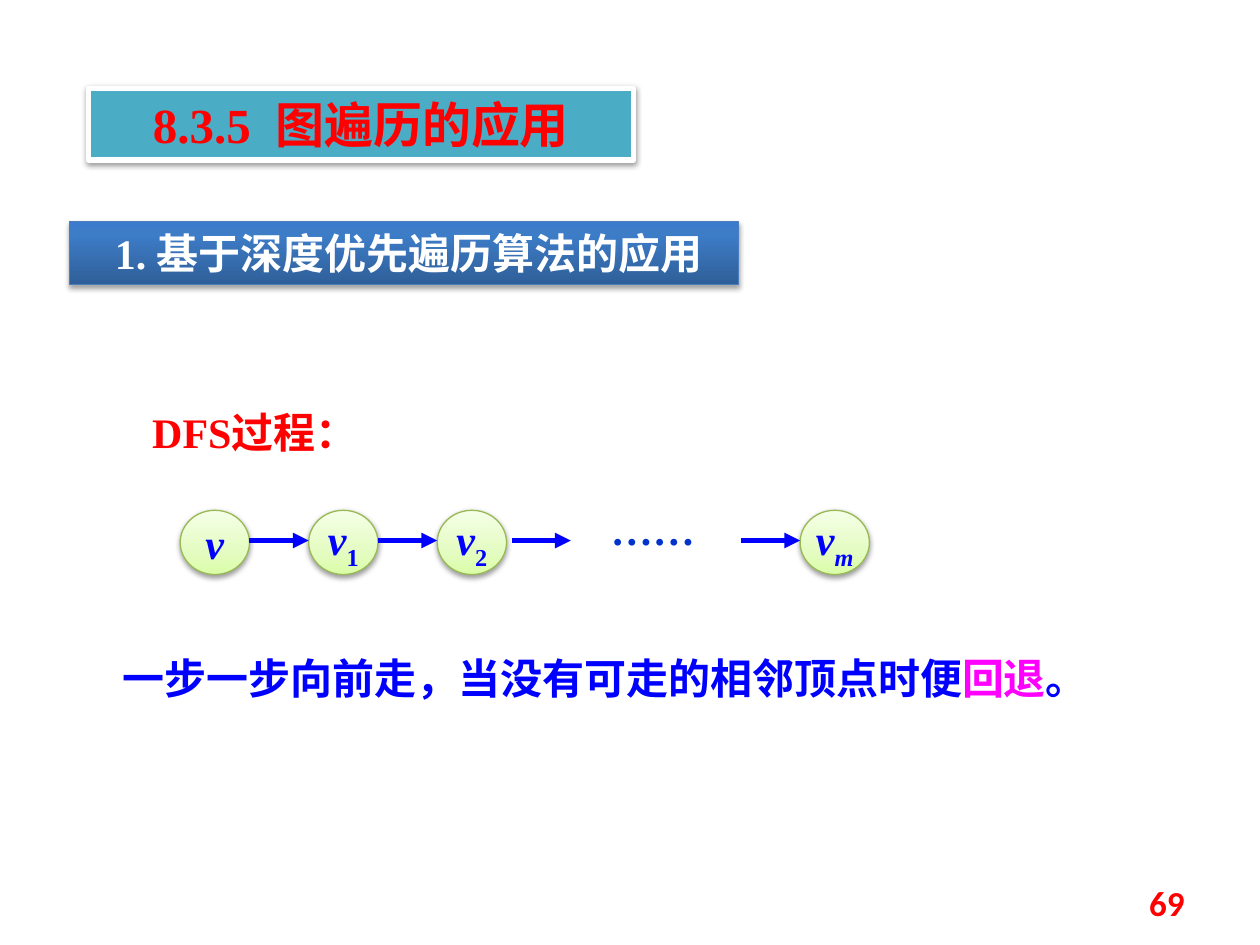
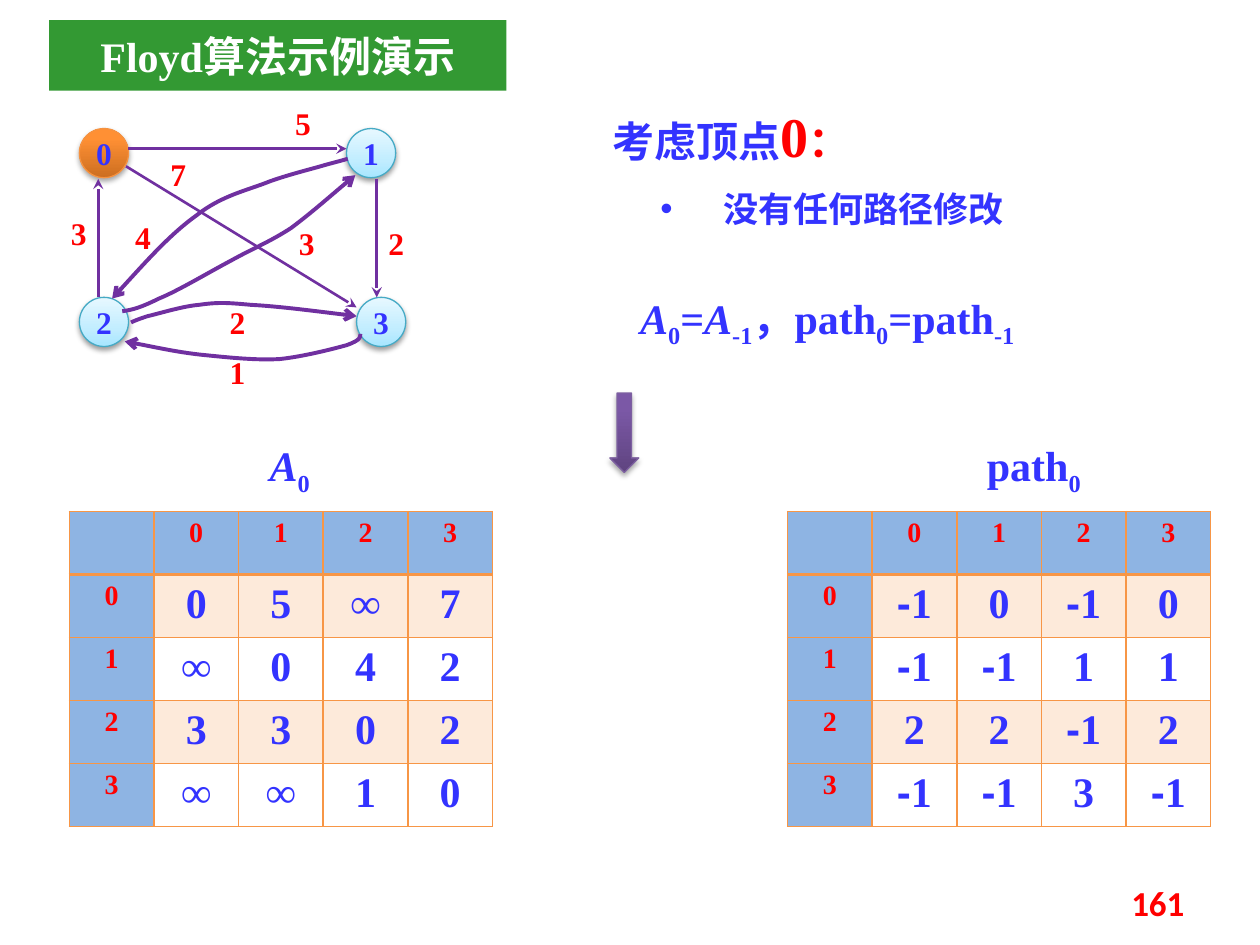
"""Build two slides: a depth-first search walk and one step of the Floyd algorithm."""
from lxml import etree
from pptx import Presentation, util as u
from pptx.dml.color import RGBColor
from pptx.enum import shapes, text
from pptx.oxml import ns

COLORS = {
    "red": "FF0000", "blue": "0000FF", "ink": "3333FF", "dots": "0033CC", "magenta": "FF00FF",
    "white": "FFFFFF", "teal": "4BACC6", "green": "339933", "purple": "7030A0",
    "orange": "F79646", "header": "8EB4E3", "band": "FDEADA",
}
LIGHT_SHADOW = {"alpha": 38, "blur": 3.1, "distance": 1.6}
STRONG_SHADOW = {"alpha": 35, "blur": 3.1, "distance": 1.8}
GRADIENTS = {
    "lime": ([(0, "DAFDA7"), (35, "E4FCC2"), (100, "F5FFE7")], "98B955", LIGHT_SHADOW),
    "sky": ([(0, "A7E6FF"), (35, "C1EDFF"), (100, "E7F8FF")], "46AAC5", LIGHT_SHADOW),
    "amber": ([(0, "CC6E20"), (80, "FF9034"), (100, "FF9136")], "F69240", STRONG_SHADOW),
    "navy": ([(0, "2F5F99"), (80, "3D7CC7"), (100, "3A7CCB")], "4B7EBC", STRONG_SHADOW),
    "violet": ([(0, "5F4480"), (80, "7B58A6"), (100, "7C57A8")], "7D60A0", STRONG_SHADOW),
}
SUB = {"sub": True}
ITALIC = {"italic": True}
SERIF = "Times New Roman"

WALK_NODES = [
    (1.43, [("v", ITALIC)]),
    (2.45, [("v", ITALIC), ("1", SUB)]),
    (3.47, [("v", ITALIC), ("2", SUB)]),
    (6.35, [("v", ITALIC), ("m", ITALIC | SUB)]),
]
WALK_ARROWS = [1.98, 3.0, 4.06, 5.88]
WALK_RULE = [("一步一步向前走，当没有可走的相邻顶点时便", {}),
             ("回退", {"color": "magenta"}), ("。", {})]

GRAPH_NODES = [("0", 0.63, 1.02, "amber"), ("1", 2.75, 1.02, "sky"),
               ("2", 0.63, 2.36, "sky"), ("3", 2.83, 2.36, "sky")]
GRAPH_EDGES = [((1.02, 1.18), (2.75, 1.18)), ((0.78, 2.36), (0.78, 1.42)),
               ((1, 1.32), (2.83, 2.44)), ((2.99, 1.42), (2.99, 2.36))]
GRAPH_CURVES = [
    [(2.86, 2.65), (2.86, 2.68), (2.86, 2.7), (2.75, 2.74), (2.64, 2.77), (2.41, 2.83),
     (2.22, 2.85), (2.04, 2.86), (1.84, 2.84), (1.64, 2.82), (1.43, 2.8), (1.21, 2.75),
     (0.99, 2.71)],
    [(1.04, 2.56), (1.06, 2.55), (1.08, 2.54), (1.17, 2.51), (1.26, 2.49), (1.45, 2.43),
     (1.58, 2.42), (1.72, 2.4), (1.78, 2.4), (1.99, 2.42), (2.19, 2.43), (2.51, 2.47),
     (2.83, 2.51)],
    [(2.76, 1.26), (2.73, 1.27), (2.69, 1.28), (2.58, 1.31), (2.48, 1.34), (2.31, 1.38),
     (2.14, 1.44), (1.97, 1.51), (1.76, 1.55), (1.56, 1.71), (1.35, 1.86), (1.12, 2.12),
     (0.89, 2.37)],
    [(0.97, 2.47), (1.05, 2.46), (1.12, 2.44), (1.26, 2.37), (1.41, 2.31), (1.66, 2.16),
     (1.83, 2.07), (2.01, 1.97), (2.14, 1.92), (2.31, 1.81), (2.47, 1.69), (2.64, 1.54),
     (2.82, 1.39)],
]
EDGE_WEIGHTS = [("5", 2.17, 0.78), ("3", 0.39, 1.65), ("2", 2.91, 1.73), ("7", 1.18, 1.18),
                ("3", 2.2, 1.73), ("1", 1.65, 2.75), ("2", 1.65, 2.36), ("4", 0.9, 1.68)]
MATRICES = [
    (0.55, (1.95, 3.44, 0.7, 0.5), [("A", ITALIC), ("0", SUB)],
     ["0 5 ∞ 7", "∞ 0 4 2", "3 3 0 2", "∞ ∞ 1 0"]),
    (6.25, (7.66, 3.44, 1.09, 0.5), [("path", {}), ("0", SUB)],
     ["-1 0 -1 0", "-1 -1 1 1", "2 2 -1 2", "-1 -1 3 -1"]),
]
VERTEX_HEADING = [("考虑顶点", {}), ("0", {"size": 32, "color": "red"}), ("：", {"color": "red"})]
EQUATION = [("A", ITALIC), ("0", SUB), ("=", {}), ("A", ITALIC), ("-1", SUB),
            ("，path", {}), ("0", SUB), ("=path", {}), ("-1", SUB)]


def rgb(name):
    return RGBColor.from_string(COLORS.get(name, name))


def add_xml(parent, tag, **attributes):
    values = {key: str(value) for key, value in attributes.items()}
    return etree.SubElement(parent, ns.qn(tag), values)


def write(frame, runs, size, color, align="CENTER", face=SERIF):
    paragraph = frame.paragraphs[0]
    paragraph.alignment = getattr(text.PP_ALIGN, align)
    for words, style in [(runs, {})] if isinstance(runs, str) else runs:
        run = paragraph.add_run()
        run.text = words
        run.font.name = style.get("face", face)
        run.font.size = u.Pt(style.get("size", size))
        run.font.bold = True
        run.font.italic = style.get("italic", False)
        run.font.color.rgb = rgb(style.get("color", color))
        if style.get("sub"):
            run.font._element.set("baseline", "-25000")
    return paragraph


def add_text(slide, box, runs, size, color, align="CENTER", face=SERIF, margin=None):
    frame = slide.shapes.add_textbox(*map(u.Inches, box)).text_frame
    frame.word_wrap = True
    frame.auto_size = text.MSO_AUTO_SIZE.SHAPE_TO_FIT_TEXT
    if margin is not None:
        frame.margin_left = frame.margin_right = u.Inches(margin)
        frame.margin_top = frame.margin_bottom = u.Inches(margin)
    return write(frame, runs, size, color, align, face)


def add_shadow(shape, alpha, blur, distance):
    shape.shadow.inherit = False
    effects = shape._element.spPr.find(ns.qn("a:effectLst"))
    shadow = add_xml(effects, "a:outerShdw", blurRad=u.Pt(blur), dist=u.Pt(distance),
                     dir=5400000, rotWithShape=0)
    add_xml(add_xml(shadow, "a:srgbClr", val="000000"), "a:alpha", val=alpha * 1000)


def add_block(slide, kind, box, fill, line=None, weight=0.75):
    shape = slide.shapes.add_shape(getattr(shapes.MSO_SHAPE, kind), *map(u.Inches, box))
    shape.shadow.inherit = False
    if fill in GRADIENTS:
        stops, line, shadow = GRADIENTS[fill]
        shape.fill.gradient()
        shape.fill.gradient_angle = 90
        stop_list = shape._element.spPr.find(".//" + ns.qn("a:gsLst"))
        stop_list.clear()
        for position, color in stops:
            stop = add_xml(stop_list, "a:gs", pos=position * 1000)
            add_xml(stop, "a:srgbClr", val=color)
        add_shadow(shape, **shadow)
    else:
        shape.fill.solid()
        shape.fill.fore_color.rgb = rgb(fill)
    if line:
        shape.line.color.rgb = rgb(line)
        shape.line.width = u.Pt(weight)
    else:
        shape.line.fill.background()
    return shape


def add_banner(slide, box, words, size, color, fill, line=None, weight=0.75):
    shape = add_block(slide, "RECTANGLE", box, fill, line, weight)
    shape.text_frame.word_wrap = True
    shape.text_frame.vertical_anchor = text.MSO_ANCHOR.TOP
    write(shape.text_frame, words, size, color)
    return shape


def add_node(slide, box, runs, size, color, fill):
    frame = add_block(slide, "OVAL", box, fill).text_frame
    frame.word_wrap = False
    frame.vertical_anchor = text.MSO_ANCHOR.MIDDLE
    write(frame, runs, size, color)


def style_arrow(shape, color, weight, head):
    shape.line.color.rgb = rgb(color)
    shape.line.width = u.Pt(weight)
    properties = shape._element.spPr
    add_xml(properties.find(ns.qn("a:ln")), "a:tailEnd", type=head)
    if properties.find(ns.qn("a:effectLst")) is None:
        add_xml(properties, "a:effectLst")


def add_arrow(slide, start, end, color, weight, head):
    points = map(u.Inches, (*start, *end))
    arrow = slide.shapes.add_connector(shapes.MSO_CONNECTOR.STRAIGHT, *points)
    style_arrow(arrow, color, weight, head)


def add_curve(slide, points):
    start, *controls = [(u.Inches(x), u.Inches(y)) for x, y in points]
    builder = slide.shapes.build_freeform(*start)
    builder.add_line_segments(controls, close=False)
    curve = builder.convert_to_shape()
    curve.fill.background()
    outline = curve._element.spPr.find(".//" + ns.qn("a:path"))
    segments = outline.findall(ns.qn("a:lnTo"))
    for first in range(0, len(segments), 3):
        bezier = add_xml(outline, "a:cubicBezTo")
        for segment in segments[first:first + 3]:
            bezier.append(segment[0])
            outline.remove(segment)
    style_arrow(curve, "purple", 2.25, "arrow")


def style_cell(cell, fill, bottom_weight):
    properties = cell._tc.get_or_add_tcPr()
    for side, weight in (("L", 1), ("R", 1), ("T", 1), ("B", bottom_weight)):
        border = add_xml(properties, "a:ln" + side, w=u.Pt(weight))
        add_xml(add_xml(border, "a:solidFill"), "a:srgbClr", val=COLORS["orange"])
    if fill:
        cell.fill.solid()
        cell.fill.fore_color.rgb = rgb(fill)
    else:
        cell.fill.background()


def add_matrix(slide, left, rows):
    labels = [str(number) for number in range(len(rows))]
    grid = [[""] + labels] + [[label] + row.split() for label, row in zip(labels, rows)]
    count = len(grid)
    box = map(u.Inches, (left, 4.06, 3.36, 2.5))
    table = slide.shapes.add_table(count, count, *box).table
    table.first_row = table.horz_banding = False
    for row, values in enumerate(grid):
        for column, value in enumerate(values):
            cell = table.cell(row, column)
            is_label = row == 0 or column == 0
            fill = "header" if is_label else "band" if row % 2 else None
            style_cell(cell, fill, 1 if row else 2)
            runs = [("-", {"face": "Arial"}), (value[1:], {})] if value[:1] == "-" else value
            if value:
                size, color = (16, "red") if is_label else (24, "ink")
                write(cell.text_frame, runs, size, color)


def add_slide(presentation, number):
    slide = presentation.slides.add_slide(presentation.slide_layouts[6])
    add_text(slide, (7.17, 6.95, 2.33, 0.4), number, 20, "red", "RIGHT", "Calibri")
    return slide


def build_walk(presentation):
    slide = add_slide(presentation, "69")
    add_text(slide, (1.11, 3.18, 2.12, 0.5), "DFS过程：", 24, "red", "LEFT")
    for left, runs in WALK_NODES:
        add_node(slide, (left, 4.05, 0.55, 0.51), runs, 24, "blue", "lime")
    for left in WALK_ARROWS:
        add_arrow(slide, (left, 4.29), (left + 0.47, 4.29), "blue", 3, "triangle")
    add_text(slide, (4.75, 3.95, 0.94, 0.5), "……", 24, "dots", "LEFT")
    add_text(slide, (0.87, 5.13, 8.19, 0.5), WALK_RULE, 24, "blue", "LEFT")
    title = add_banner(slide, (0.7, 0.7, 4.33, 0.57), "8.3.5  图遍历的应用", 28, "red",
                       "teal", "white", 3)
    add_shadow(title, **LIGHT_SHADOW)
    section = add_banner(slide, (0.55, 1.76, 5.31, 0.5), "1. 基于深度优先遍历算法的应用",
                         24, "white", "navy")
    section.text_frame.margin_left = u.Inches(0.18)


def build_floyd(presentation):
    slide = add_slide(presentation, "161")
    title = add_banner(slide, (0.39, 0.16, 3.63, 0.56), "Floyd算法示例演示", 24, "white", "green")
    title.text_frame.margin_top = title.text_frame.margin_bottom = u.Inches(0.08)
    for label, left, top, fill in GRAPH_NODES:
        add_node(slide, (left, top, 0.39, 0.39), label, 18, "ink", fill)
    for start, end in GRAPH_EDGES:
        add_arrow(slide, start, end, "purple", 1.5, "stealth")
    for weight, left, top in EDGE_WEIGHTS:
        add_text(slide, (left, top, 0.47, 0.4), weight, 18, "red")
    for points in GRAPH_CURVES:
        add_curve(slide, points)
    for left, caption_box, caption, rows in MATRICES:
        add_text(slide, caption_box, caption, 24, "ink")
        add_matrix(slide, left, rows)
    add_text(slide, (4.69, 0.81, 2.23, 0.54), VERTEX_HEADING, 24, "ink", margin=0)
    remark = add_text(slide, (5.08, 1.44, 3.05, 0.44), "没有任何路径修改", 20, "ink")
    properties = remark._p.get_or_add_pPr()
    properties.set("marL", str(u.Inches(0.5)))
    properties.set("indent", str(-u.Inches(0.5)))
    add_xml(properties, "a:buFont", typeface="Arial")
    add_xml(properties, "a:buChar", char="•")
    add_text(slide, (4.77, 2.27, 3.59, 0.5), EQUATION, 24, "ink")
    add_block(slide, "DOWN_ARROW", (4.84, 3.12, 0.23, 0.63), "violet")


def main():
    presentation = Presentation()
    presentation.slide_width = u.Inches(10)
    presentation.slide_height = u.Inches(7.5)
    build_walk(presentation)
    build_floyd(presentation)
    presentation.save("out.pptx")


if __name__ == "__main__":
    main()
